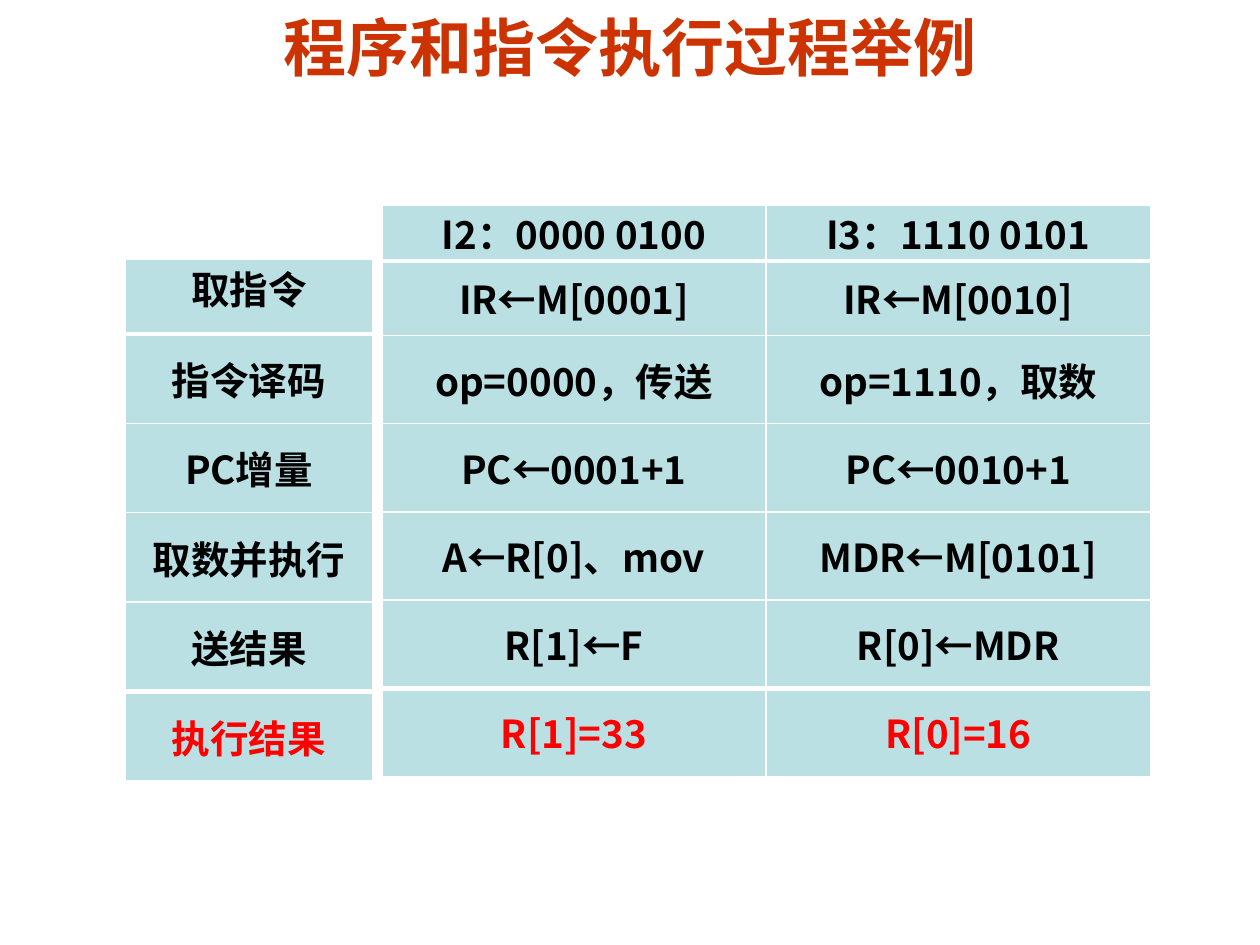
from pptx import Presentation
from pptx.dml.color import RGBColor
from pptx.enum.text import MSO_ANCHOR, PP_ALIGN
from pptx.oxml.ns import qn
from pptx.util import Inches, Pt
from lxml import etree

TOP, MIDDLE = MSO_ANCHOR.TOP, MSO_ANCHOR.MIDDLE
CENTER = PP_ALIGN.CENTER
ORANGE = RGBColor(0xCC, 0x33, 0x00)
BLACK = RGBColor(0, 0, 0)
RED = RGBColor(0xFF, 0, 0)
TEAL = RGBColor(0xBB, 0xE0, 0xE3)
WHITE = RGBColor(0xFF, 0xFF, 0xFF)
CJK = "Noto Sans CJK SC"

TITLE = "程序和指令执行过程举例"
STEPS = {
    "rows": [["取指令"], ["指令译码"], ["PC增量"], ["取数并执行"], ["送结果"], ["执行结果"]],
    "left": 0.99, "top": 2.06, "widths": [1.97],
    "heights": [0.59] + [0.71] * 5, "insets": [0.02], "first_anchor": TOP,
}
INSTRUCTIONS = {
    "rows": [
        ["I2：0000 0100", "I3：1110 0101"],
        ["IR←M[0001]", "IR←M[0010]"],
        ["op=0000，传送", "op=1110，取数"],
        ["PC←0001+1", "PC←0010+1"],
        ["A←R[0]、mov", "MDR←M[0101]"],
        ["R[1]←F", "R[0]←MDR"],
        ["R[1]=33", "R[0]=16"],
    ],
    "left": 3.03, "top": 1.63, "widths": [3.05, 3.05],
    "heights": [0.42, 0.59] + [0.7] * 5, "insets": [0.02, 0.07], "first_anchor": MIDDLE,
}


def write(tf, text, size, color, name):
    """Put one centred bold line in a text frame."""
    p = tf.paragraphs[0]
    p.alignment = CENTER
    r = p.add_run()
    r.text = text
    for key, value in {"size": Pt(size), "bold": True, "name": name}.items():
        setattr(r.font, key, value)
    r.font.color.rgb = color
    etree.SubElement(r.font._element, qn("a:ea"), typeface=CJK)


def add_borders(cell, widths):
    """Draw white cell edges, widths in points by side."""
    tc_pr = cell._tc.get_or_add_tcPr()
    for side, width in widths.items():
        ln = etree.SubElement(tc_pr, qn(f"a:ln{side}"), w=str(Pt(width)))
        fill = etree.SubElement(ln, qn("a:solidFill"))
        etree.SubElement(fill, qn("a:srgbClr"), val=str(WHITE))


def add_grid(s, grid):
    """Add a table whose first and last rows are set off by thick lines."""
    rows, widths, heights = grid["rows"], grid["widths"], grid["heights"]
    table = s.shapes.add_table(
        len(rows), len(widths), Inches(grid["left"]), Inches(grid["top"]),
        Inches(sum(widths)), Inches(sum(heights))).table
    table.first_row = table.horz_banding = False
    for column, width in zip(table.columns, widths):
        column.width = Inches(width)
    last = len(rows) - 1
    for i, texts in enumerate(rows):
        table.rows[i].height = Inches(heights[i])
        for j, text in enumerate(texts):
            cell = table.cell(i, j)
            inset = Inches(grid["insets"][j])
            layout = {
                "margin_left": inset, "margin_right": inset,
                "margin_top": 0, "margin_bottom": 0,
                "vertical_anchor": MIDDLE if i else grid["first_anchor"],
            }
            for key, value in layout.items():
                setattr(cell, key, value)
            add_borders(cell, {"L": 1, "R": 1, "T": 3 if i in (1, last) else 1,
                               "B": 3 if i in (0, last - 1) else 1})
            cell.fill.solid()
            cell.fill.fore_color.rgb = TEAL
            write(cell.text_frame, text, 22, RED if i == last else BLACK, CJK)


def main():
    """Build the slide."""
    prs = Presentation()
    prs.slide_width, prs.slide_height = Inches(10), Inches(7.5)
    s = prs.slides.add_slide(prs.slide_layouts[5])
    title = s.shapes.title
    box = {"left": 0.5, "top": 0.06, "width": 9, "height": 0.61}
    for key, value in box.items():
        setattr(title, key, Inches(value))
    title.text_frame.vertical_anchor = MIDDLE
    write(title.text_frame, TITLE, 36, ORANGE, "Arial")
    for grid in (INSTRUCTIONS, STEPS):
        add_grid(s, grid)
    prs.save("out.pptx")


if __name__ == "__main__":
    main()
